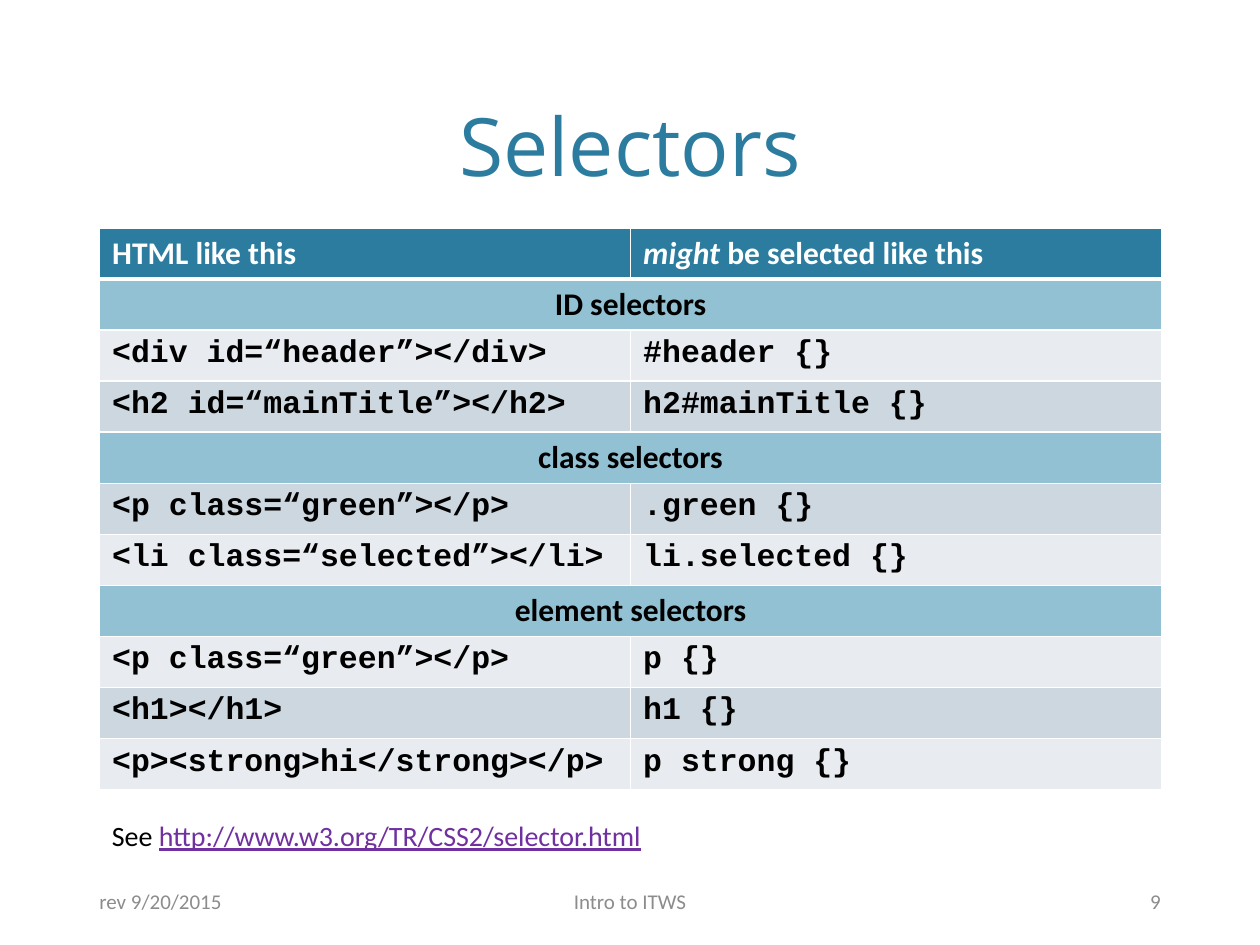
from pptx import Presentation
from pptx.dml.color import RGBColor
from pptx.enum.text import MSO_ANCHOR as Anchor, PP_ALIGN as Align
from pptx.oxml import parse_xml
from pptx.oxml.ns import nsdecls
from pptx.util import Inches, Pt

TEAL = RGBColor(0x2C, 0x7C, 0x9F)
SECTION_BLUE = RGBColor(0x91, 0xC1, 0xD2)
LIGHT_BAND = RGBColor(0xE8, 0xEC, 0xF0)
DARK_BAND = RGBColor(0xCD, 0xD7, 0xDF)
WHITE = RGBColor(0xFF, 0xFF, 0xFF)
BLACK = RGBColor(0, 0, 0)
GREY = RGBColor(0x8C, 0x8C, 0x8C)
PURPLE = RGBColor(0x70, 0x30, 0xA0)

BODY_FONT = "Calibri"
CODE_FONT = "Courier New"
TITLE_FONT = "Open Sans"

SELECTOR_GROUPS = [
    ("ID selectors", [
        ("<div id=“header”></div>", "#header {}"),
        ("<h2 id=“mainTitle”></h2>", "h2#mainTitle {}"),
    ]),
    ("class selectors", [
        ("<p class=“green”></p>", ".green {}"),
        ("<li class=“selected”></li>", "li.selected {}"),
    ]),
    ("element selectors", [
        ("<p class=“green”></p>", "p {}"),
        ("<h1></h1>", "h1 {}"),
        ("<p><strong>hi</strong></p>", "p strong {}"),
    ]),
]


def format_run(run, size, color, font=BODY_FONT, bold=False):
    run.font.name = font
    run.font.size = Pt(size)
    run.font.bold = bold
    run.font.color.rgb = color


def add_text(slide, box, text, size, color, font=BODY_FONT,
             align=Align.LEFT, anchor=Anchor.MIDDLE, wrap=True):
    shape = slide.shapes.add_textbox(*map(Inches, box))
    text_frame = shape.text_frame
    text_frame.word_wrap = wrap
    text_frame.vertical_anchor = anchor
    paragraph = text_frame.paragraphs[0]
    paragraph.text = text
    paragraph.alignment = align
    format_run(paragraph.runs[0], size, color, font)
    return paragraph


def set_borders(cell, bottom_width):
    properties = cell._tc.get_or_add_tcPr()
    sides = [("L", 1), ("R", 1), ("T", 1), ("B", bottom_width)]
    for index, (side, width) in enumerate(sides):
        properties.insert(index, parse_xml(
            f'<a:ln{side} {nsdecls("a")} w="{Pt(width)}"><a:solidFill>'
            f'<a:srgbClr val="{WHITE}"/></a:solidFill></a:ln{side}>'))


def fill_cell(cell, text, fill, color=BLACK, font=BODY_FONT,
              align=Align.LEFT, bottom_width=1):
    cell.fill.solid()
    cell.fill.fore_color.rgb = fill
    set_borders(cell, bottom_width)
    paragraph = cell.text_frame.paragraphs[0]
    paragraph.text = text
    paragraph.alignment = align
    format_run(paragraph.runs[0], 18, color, font, bold=True)
    return paragraph


def add_selector_table(slide, box):
    left, top, width, height = box
    row_count = 1 + sum(1 + len(pairs) for _, pairs in SELECTOR_GROUPS)
    table = slide.shapes.add_table(row_count, 2, *map(Inches, box)).table
    for column in table.columns:
        column.width = Inches(width / 2)
    for row in table.rows:
        row.height = Inches(height / row_count)

    fill_cell(table.cell(0, 0), "HTML like this", TEAL, WHITE, bottom_width=3)
    heading = fill_cell(table.cell(0, 1), "might", TEAL, WHITE, bottom_width=3)
    heading.runs[0].font.italic = True
    rest = heading.add_run()
    rest.text = " be selected like this"
    format_run(rest, 18, WHITE, bold=True)

    row_index = 1
    for name, pairs in SELECTOR_GROUPS:
        section = table.cell(row_index, 0)
        section.merge(table.cell(row_index, 1))
        fill_cell(section, name, SECTION_BLUE, align=Align.CENTER)
        for row_index, pair in enumerate(pairs, row_index + 1):
            band = DARK_BAND if row_index % 2 else LIGHT_BAND
            for column_index, code in enumerate(pair):
                fill_cell(table.cell(row_index, column_index), code, band, font=CODE_FONT)
        row_index += 1


def add_reference(slide, box):
    paragraph = add_text(slide, box, "See ", 16, BLACK, anchor=Anchor.TOP, wrap=False)
    address = paragraph.add_run()
    address.text = "http://www.w3.org/TR/CSS2/selector.html"
    format_run(address, 16, PURPLE)
    address.font.underline = True


def add_footer(slide, box):
    left, top, width, height = box
    side_width, middle_width = 2.69, 2.38
    parts = [
        ("rev 9/20/2015", left, side_width, Align.LEFT),
        ("Intro to ITWS", left + (width - middle_width) / 2, middle_width, Align.CENTER),
        ("9", left + width - side_width, side_width, Align.RIGHT),
    ]
    for text, part_left, part_width, align in parts:
        add_text(slide, (part_left, top, part_width, height), text, 12, GREY, align=align)


def build_selectors_slide(presentation):
    slide = presentation.slides.add_slide(presentation.slide_layouts[6])
    add_text(slide, (0.6, 0.12, 8.8, 1.46), "Selectors", 46, TEAL, TITLE_FONT,
             Align.CENTER, Anchor.BOTTOM)
    add_selector_table(slide, (0.79, 1.81, 8.43, 4.46))
    add_reference(slide, (0.79, 6.45, 4.83, 0.37))
    add_footer(slide, (0.69, 6.95, 8.62, 0.4))


presentation = Presentation()
presentation.slide_width = Inches(10)
presentation.slide_height = Inches(7.5)
build_selectors_slide(presentation)
presentation.save("out.pptx")
